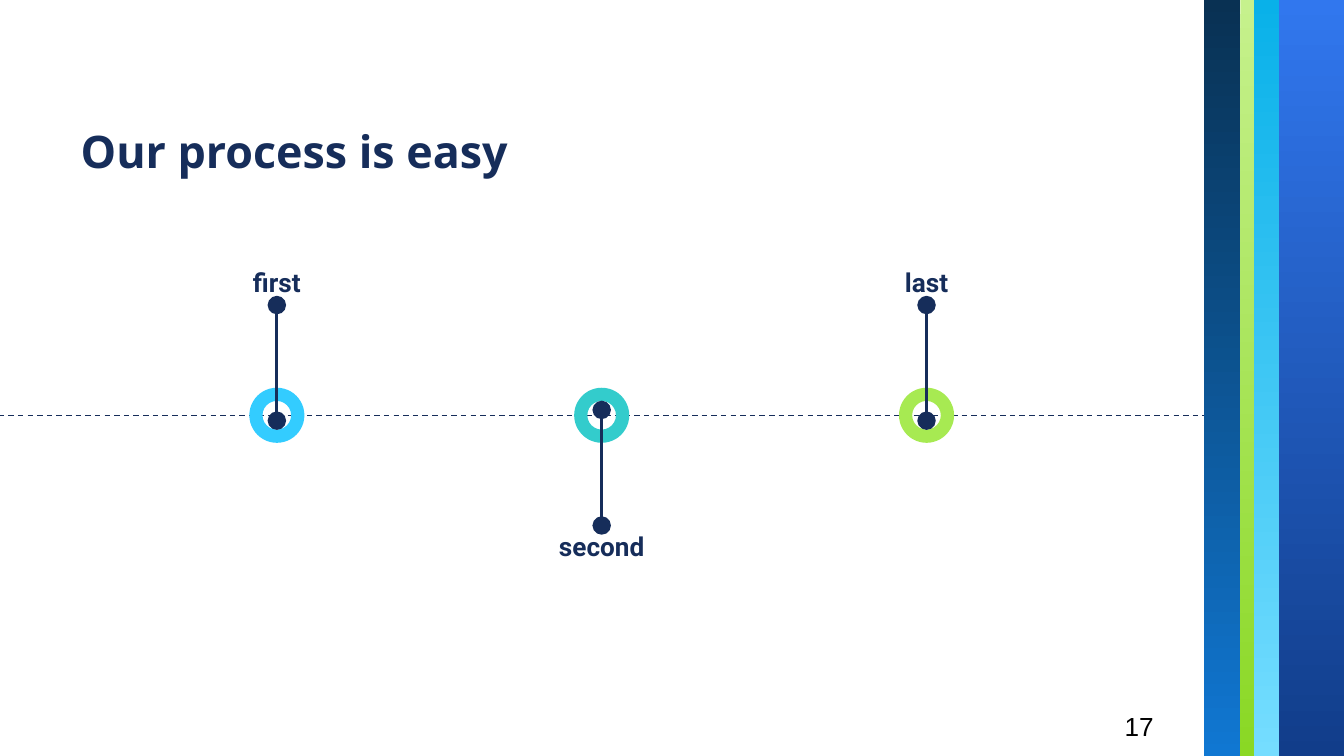
import pptx
import pptx.util
import pptx.dml.color
import pptx.enum.dml
import pptx.enum.shapes
import pptx.enum.text
import pptx.oxml
import pptx.oxml.ns
import lxml.etree

Inches, Pt = pptx.util.Inches, pptx.util.Pt
SHAPE = pptx.enum.shapes.MSO_SHAPE
ALIGN = pptx.enum.text.PP_ALIGN
ANCHOR = pptx.enum.text.MSO_ANCHOR

# Content
TITLE = "Our process is easy"
PAGE = "17"
STEPS = [("first", "sky", "up"), ("second", "teal", "down"), ("last", "lime", "up")]

COLORS = {"navy": "162D5A", "black": "000000", "white": "FFFFFF",
          "sky": "33CCFF", "teal": "33CCCC", "lime": "A7EA52"}
# Side bands: left, width, top colour, bottom colour
BANDS = [(9.51, 0.49, "3177EE", "113D8A"), (9.32, 0.2, "09B1E9", "75DDFF"),
         (9.23, 0.1, "C6F18D", "8AD824"), (8.96, 0.27, "093153", "1077D2")]

# Layout, 16:9
WIDTH = 10
HEIGHT = WIDTH * 9 / 16
AXIS_Y, FIRST_X, STEP_GAP = 3.09, 2.06, 2.417
RING, LABEL_W, LABEL_H = 0.41, 1.22, 0.41
STEM_START, STEM_END = 0.04, 0.82
LABEL_TOP = {"up": 1.88, "down": 3.85}


def rgb(value):
    return pptx.dml.color.RGBColor.from_string(value)


def write(sp, text, font, size, color, bold=False, align=None, anchor=ANCHOR.TOP):
    tf = sp.text_frame
    tf.word_wrap = True
    tf.auto_size = pptx.enum.text.MSO_AUTO_SIZE.NONE
    tf.vertical_anchor = anchor
    tf.margin_left = tf.margin_right = tf.margin_top = tf.margin_bottom = Inches(0.1)
    tf.text = text
    p = tf.paragraphs[0]
    p.alignment = align
    p.font.name, p.font.size, p.font.bold = font, Pt(size), bold
    p.font.color.rgb = rgb(COLORS[color])


def add_text(s, box, *args, **kwargs):
    write(s.shapes.add_textbox(*map(Inches, box)), *args, **kwargs)


def add_plain(s, kind, *box):
    sp = s.shapes.add_shape(kind, *map(Inches, box))
    sp.shadow.inherit = False
    sp.line.fill.background()
    return sp


def add_line(s, x1, y1, x2, y2, width, dash=None, ends=None):
    line = s.shapes.add_connector(pptx.enum.shapes.MSO_CONNECTOR.STRAIGHT,
                                  *map(Inches, (x1, y1, x2, y2)))
    line.line.color.rgb = rgb(COLORS["navy"])
    line.line.width = Pt(width)
    if dash:
        line.line.dash_style = dash
    qn = pptx.oxml.ns.qn
    if ends:
        ln = line._element.spPr.find(qn("a:ln"))
        for tag in ("a:headEnd", "a:tailEnd"):
            lxml.etree.SubElement(ln, qn(tag), type=ends, w="lg", len="lg")
    lxml.etree.SubElement(line._element.spPr, qn("a:effectLst"))


prs = pptx.Presentation()
prs.slide_width, prs.slide_height = Inches(WIDTH), Inches(HEIGHT)
s = prs.slides.add_slide(prs.slide_layouts[5])
s.background.fill.solid()
s.background.fill.fore_color.rgb = rgb(COLORS["white"])

# Gradient bands on the right
for left, width, top_color, bottom_color in BANDS:
    sp = add_plain(s, SHAPE.RECTANGLE, left, 0, width, HEIGHT)
    sp.fill.gradient()
    sp.fill.gradient_angle = 270
    for stop, color in zip(sp.fill.gradient_stops, (top_color, bottom_color)):
        stop.color.rgb = rgb(color)

# Title and page number
title = s.shapes.title
title.left, title.top, title.width, title.height = map(Inches, (0.5, 0.62, 5.8, 0.8))
write(title, TITLE, "Open Sans", 24, "navy", bold=True, align=ALIGN.LEFT, anchor=ANCHOR.BOTTOM)
add_text(s, (8.27, 5.19, 0.6, 0.43), PAGE, "Arial", 14, "black", anchor=ANCHOR.MIDDLE)

# Timeline axis
add_line(s, -0.01, AXIS_Y, 8.96, AXIS_Y, 0.75, dash=pptx.enum.dml.MSO_LINE.DASH)

# Steps: ring, stem and label
for i, (label, color, side) in enumerate(STEPS):
    x = FIRST_X + i * STEP_GAP
    ring = add_plain(s, SHAPE.DONUT, x - RING / 2, AXIS_Y - RING / 2, RING, RING)
    ring.adjustments[0] = 0.24
    ring.fill.solid()
    ring.fill.fore_color.rgb = rgb(COLORS[color])
    sign = -1 if side == "up" else 1
    add_line(s, x, AXIS_Y - sign * STEM_START, x, AXIS_Y + sign * STEM_END, 1.5, ends="oval")
    add_text(s, (x - LABEL_W / 2, LABEL_TOP[side], LABEL_W, LABEL_H),
             label, "Roboto", 14, "navy", bold=True, align=ALIGN.CENTER)

prs.save("out.pptx")
